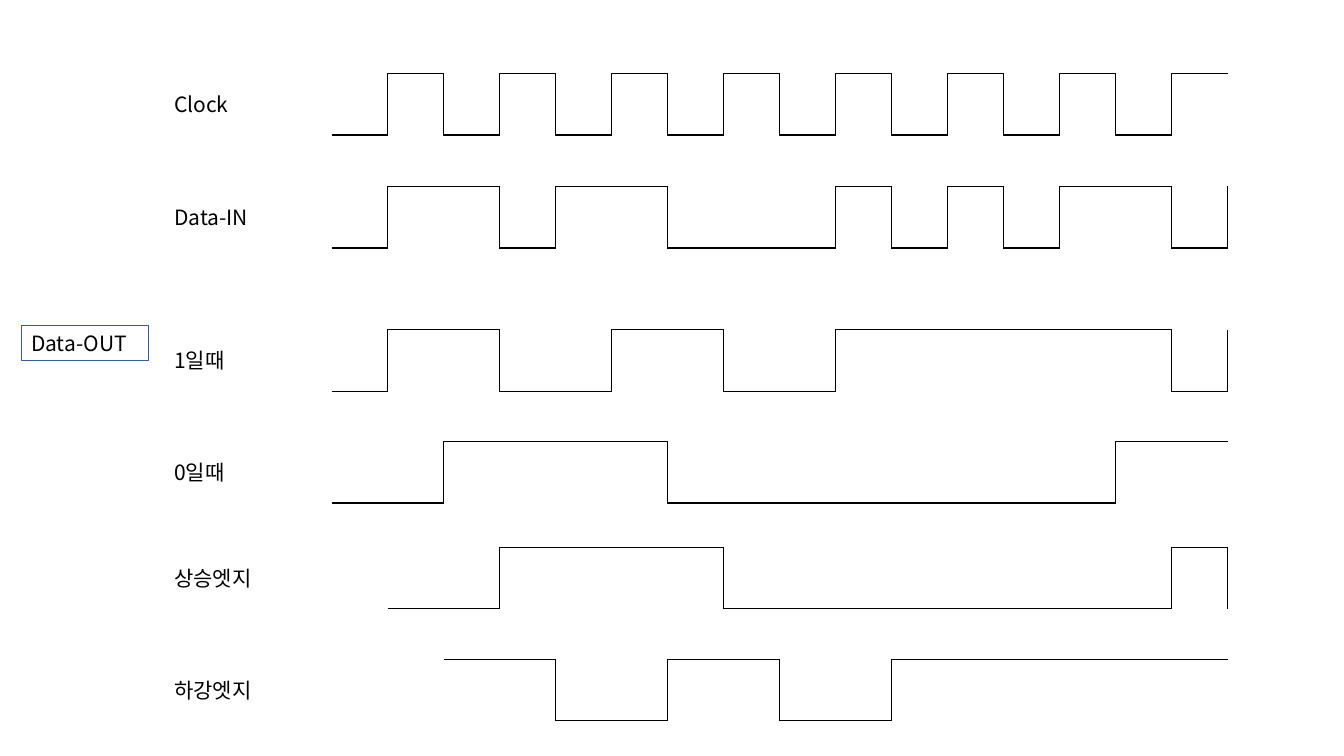
from lxml.etree import SubElement
from pptx import Presentation
from pptx.dml.color import RGBColor
from pptx.enum.shapes import MSO_SHAPE
from pptx.enum.text import MSO_ANCHOR, MSO_AUTO_SIZE, PP_ALIGN
from pptx.oxml import parse_xml
from pptx.oxml.ns import nsdecls, qn
from pptx.util import Inches, Pt

SIGNALS = [
    ("Clock", 0.73, "0101010101010101", False),
    ("Data-IN", 1.85, "0110110001010110", True),
    ("1일때", 3.27, "0110011001111110", True),
    ("0일때", 4.38, "0011110000000011", False),
    ("상승엣지", 5.43, " 001111000000001", True),
    ("하강엣지", 6.54, "  11001100111111", False),
]
GROUP = "Data-OUT"
FONT = "Noto Sans CJK KR"
BLACK = RGBColor(0, 0, 0)
WHITE = RGBColor(255, 255, 255)
BLUE = RGBColor(0x31, 0x5F, 0x97)
WAVE_LEFT, WAVE_W, WAVE_H = 3.29, 8.89, 0.61
LABEL_LEFT, LABEL_W, LABEL_H, LABEL_DROP = 1.63, 1.1, 0.35, 0.13


def write(sp, text):
    tf = sp.text_frame
    tf.word_wrap = True
    tf.auto_size = MSO_AUTO_SIZE.SHAPE_TO_FIT_TEXT
    tf.vertical_anchor = MSO_ANCHOR.TOP
    p = tf.paragraphs[0]
    p.alignment = PP_ALIGN.LEFT
    r = p.add_run()
    r.text = text
    r.font.size = Pt(15)
    r.font.name = FONT
    r.font.color.rgb = BLACK
    SubElement(r.font._element, qn("a:ea")).set("typeface", FONT)


def set_borders(cell, sides):
    tc_pr = cell._tc.get_or_add_tcPr()
    for i, side in enumerate("LRTB"):
        paint = "<a:noFill/>"
        if side in sides:
            paint = f'<a:solidFill><a:srgbClr val="{BLACK}"/></a:solidFill>'
        line = f'<a:ln{side} {nsdecls("a")} w="{Pt(1)}">{paint}</a:ln{side}>'
        tc_pr.insert(i, parse_xml(line))


def add_wave(s, top, levels, end_edge):
    n = len(levels)
    frame = s.shapes.add_table(1, n, Inches(WAVE_LEFT), Inches(top),
                               Inches(WAVE_W), Inches(WAVE_H))
    table = frame.table
    table.first_row = table.horz_banding = False
    edges = [False] + [{a, b} == {"0", "1"} for a, b in zip(levels, levels[1:])] + [end_edge]
    for i, level in enumerate(levels):
        table.columns[i].width = Inches(WAVE_W / n)
        cell = table.cell(0, i)
        cell.fill.solid()
        cell.fill.fore_color.rgb = WHITE
        sides = {"0": "B", "1": "T"}.get(level, "")
        sides += "L" * edges[i] + "R" * edges[i + 1]
        set_borders(cell, sides)


prs = Presentation()
prs.slide_width, prs.slide_height = Inches(13.33), Inches(7.5)
s = prs.slides.add_slide(prs.slide_layouts[6])

for name, top, levels, end_edge in SIGNALS:
    label = s.shapes.add_textbox(Inches(LABEL_LEFT), Inches(top + LABEL_DROP),
                                 Inches(LABEL_W), Inches(LABEL_H))
    write(label, name)
    add_wave(s, top, levels, end_edge)

group = s.shapes.add_shape(MSO_SHAPE.RECTANGLE, Inches(0.21), Inches(3.23),
                           Inches(1.26), Inches(LABEL_H))
group.shadow.inherit = False
group.fill.background()
group.line.color.rgb = BLUE
group.line.width = Pt(0.75)
write(group, GROUP)

prs.save("out.pptx")
